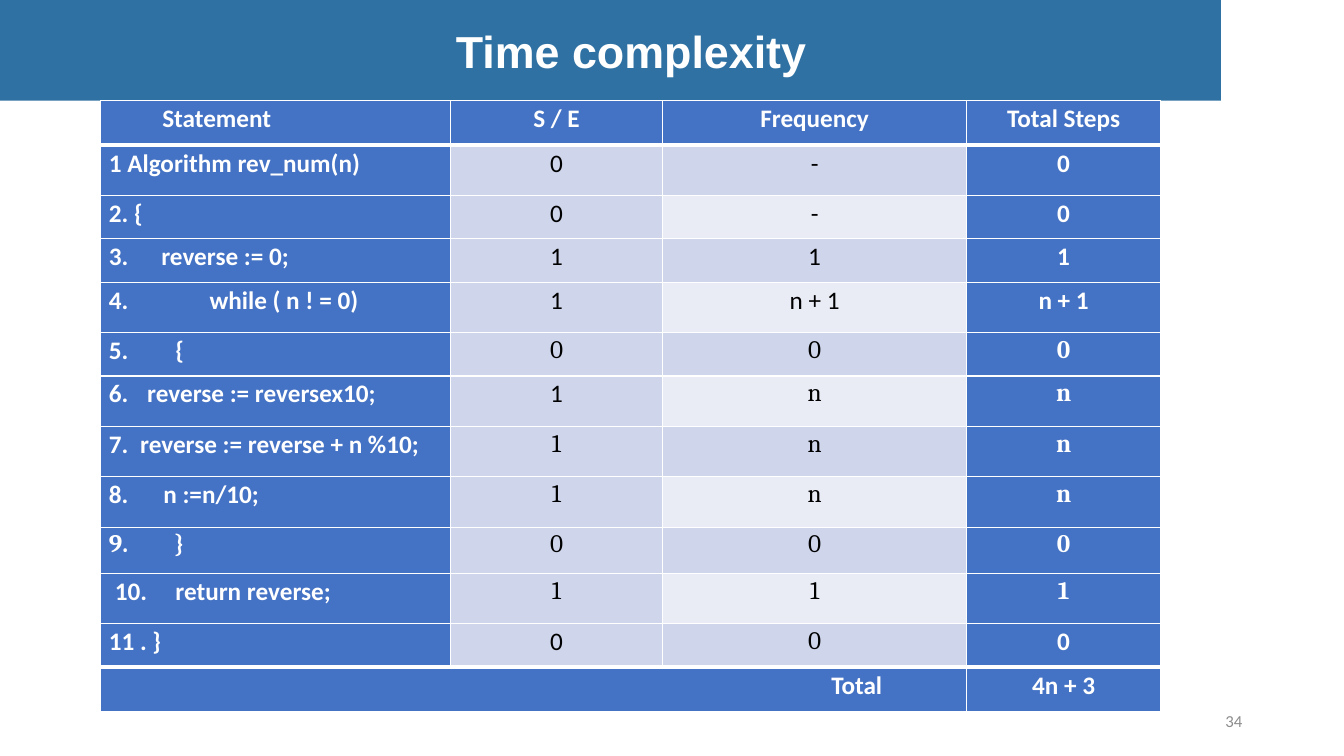
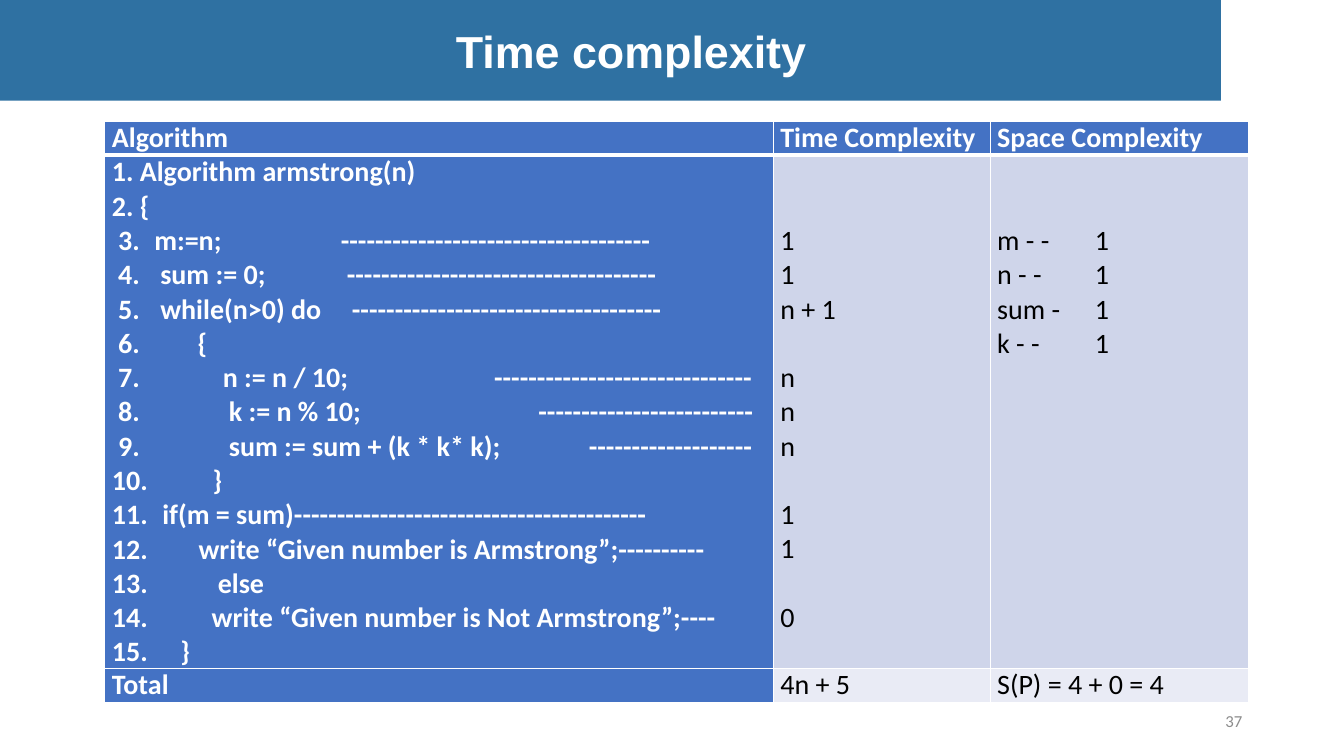
import pptx
import pptx.dml.color
import pptx.enum.shapes
import pptx.enum.text
import pptx.oxml
import pptx.oxml.ns
import pptx.util
from lxml import etree

Inches = pptx.util.Inches
Pt = pptx.util.Pt
ALIGN = pptx.enum.text.PP_ALIGN
MIDDLE = pptx.enum.text.MSO_ANCHOR.MIDDLE

BAND, BLUE, PALE, PALER = "2F71A2", "4472C4", "CFD5EA", "E9EBF5"
WHITE, BLACK, GREY = "FFFFFF", "000000", "8C8C8C"
LINE_20 = 24.4  # height in points of one 20 pt line


def color(hex_text):
    return pptx.dml.color.RGBColor.from_string(hex_text)


def make_cell(lines, fill, margins, font="Calibri", size=18, align=ALIGN.LEFT):
    """Lines are (text, tab stops in inches, points before)."""
    return {"lines": lines, "fill": fill, "margins": margins,
            "font": font, "size": size, "align": align}


# Step counts: statement, left margin, tab stop, three values, four fonts
step_rows = [
    ("1 Algorithm rev_num(n)", 0.08, None, "0", "-", "0", "AAAA"),
    ("2. {", 0.08, None, "0", "-", "0", "AAAA"),
    ("3.\treverse := 0;", 0.08, 0.52, "1", "1", "1", "AAAA"),
    ("4.\twhile ( n ! = 0)", 0.08, 1, "1", "n + 1", "n + 1", "AAAA"),
    ("5.\t{", 0.08, 0.66, "0", "0", "0", "ACCC"),
    ("6.\treverse := reversex10;", 0.08, 0.38, "1", "n", "n", "AACC"),
    ("7.\treverse := reverse + n %10;", 0.08, 0.31, "1", "n", "n", "ACCC"),
    ("8.\tn :=n/10;", 0.08, 0.54, "1", "n", "n", "ACCC"),
    ("9.\t}", 0.08, 0.65, "0", "0", "0", "CCCC"),
    ("10.\treturn reverse;", 0.14, 0.6, "1", "1", "1", "ACCC"),
    ("11 . }", 0.08, None, "0", "0", "0", "AACA"),
]
fonts = {"A": "Calibri", "C": "Cambria"}
TOP = 0.03
centred = (0, TOP, 0, 0)

step_cells = [[make_cell([("Statement", [], 0)], BLUE, (0.61, TOP, 0, 0))]]
for heading in ("S / E", "Frequency", "Total Steps"):
    step_cells[0].append(make_cell([(heading, [], 0)], BLUE, centred, align=ALIGN.CENTER))
for index, (statement, left, tab, *values, font_keys) in enumerate(step_rows):
    row = [make_cell([(statement, [tab] if tab else [], 0)], BLUE,
                     (left, TOP, 0, 0), fonts[font_keys[0]])]
    fills = (PALE, PALER if index % 2 else PALE, BLUE)
    for value, fill, key in zip(values, fills, font_keys[1:]):
        row.append(make_cell([(value, [], 0)], fill, centred, fonts[key], align=ALIGN.CENTER))
    step_cells.append(row)
step_cells.append([
    make_cell([("Total", [], 0)], BLUE, (0, TOP, 0.84, 0), align=ALIGN.RIGHT),
    make_cell([], BLUE, centred),
    make_cell([], BLUE, centred),
    make_cell([("4n + 3", [], 0)], BLUE, centred, align=ALIGN.CENTER),
])

# Armstrong algorithm: code lines with their tab stops
code_lines = [
    ("1. Algorithm armstrong(n)", []),
    ("2. {", []),
    (" 3.\tm:=n;\t" + "-" * 36, [0.42, 2.27]),
    (" 4.\tsum := 0;\t" + "-" * 36, [0.48, 2.33]),
    (" 5.\twhile(n>0) do\t" + "-" * 36, [0.48, 2.38]),
    (" 6.\t{", [0.85]),
    (" 7.\tn := n / 10;\t" + "-" * 30, [1.1, 3.79]),
    (" 8.\tk := n % 10;\t" + "-" * 25, [1.16, 4.23]),
    (" 9.\tsum := sum + (k * k* k);\t" + "-" * 19, [1.16, 4.73]),
    ("10.\t}", [1]),
    ("11.\tif(m = sum)" + "-" * 41, [0.5]),
    ("12.\twrite “Given number is Armstrong”;" + "-" * 10, [0.86]),
    ("13.\telse", [1.05]),
    ("14.\twrite “Given number is Not Armstrong”;" + "-" * 4, [0.99]),
    ("15.\t}", [0.68]),
]
code = [(text, tabs, 0) for text, tabs in code_lines]

# Each count stands beside its code line; skipped lines become space before
time_counts = {3: "1", 4: "1", 5: "n + 1", 7: "n", 8: "n", 9: "n", 11: "1", 12: "1", 14: "0"}
times = []
previous = 2
for line_number, count in time_counts.items():
    times.append((count, [], (line_number - previous - 1) * LINE_20))
    previous = line_number
spaces = [(name + "\t1", [0.97], 0) for name in ("m - -", "n - -", "sum -", "k - -")]

inset = (0.07, 0, 0.07, 0)
lowered = (0.07, 0.68, 0.07, 0)
armstrong_cells = [
    [make_cell([(heading, [], 0)], BLUE, inset, size=20)
     for heading in ("Algorithm", "Time Complexity", "Space Complexity")],
    [make_cell(code, BLUE, inset, size=20),
     make_cell(times, PALE, lowered, size=20),
     make_cell(spaces, PALE, lowered, size=20)],
    [make_cell([(total, [], 0)], fill, inset, size=20)
     for total, fill in (("Total", BLUE), ("4n + 5", PALER), ("S(P) = 4 + 0 = 4", PALER))],
]

# Page number, table place, column widths, row heights, cells, thick edges, merged cells
pages = [
    ("34", 1, 1, [3.47, 2.1, 3.02, 1.92],
     [0.44, 0.5, 0.43, 0.43, 0.5, 0.43, 0.5, 0.5, 0.5, 0.46, 0.5, 0.43, 0.44],
     step_cells, {1, 12}, [(12, 0, 12, 2)]),
    ("37", 1.04, 1.2, [6.63, 2.15, 2.56], [0.34, 5.09, 0.34], armstrong_cells, {1}, []),
]

presentation = pptx.Presentation()
presentation.slide_width = Inches(13.33)
presentation.slide_height = Inches(7.5)

for number, left, top, widths, heights, cells, thick_edges, merges in pages:
    slide = presentation.slides.add_slide(presentation.slide_layouts[6])

    # Page number
    number_box = slide.shapes.add_textbox(Inches(9.42), Inches(6.95), Inches(3), Inches(0.4))
    number_box.text_frame.word_wrap = True

    # Title band
    band = slide.shapes.add_shape(pptx.enum.shapes.MSO_SHAPE.RECTANGLE,
                                  0, 0, Inches(12.11), Inches(1))
    band.shadow.inherit = False
    band.fill.solid()
    band.fill.fore_color.rgb = color(BAND)
    band.line.fill.background()
    band.text_frame.margin_left = Inches(0.51)

    for shape, text, font, size, ink, bold, align in (
            (number_box, number, "Calibri", 12, GREY, False, ALIGN.RIGHT),
            (band, "Time complexity", "Arial", 32, WHITE, True, ALIGN.CENTER)):
        shape.text_frame.vertical_anchor = MIDDLE
        paragraph = shape.text_frame.paragraphs[0]
        paragraph.alignment = align
        run = paragraph.add_run()
        run.text = text
        run.font.name = font
        run.font.size = Pt(size)
        run.font.bold = bold
        run.font.color.rgb = color(ink)

    # Table grid
    table = slide.shapes.add_table(len(heights), len(widths), Inches(left), Inches(top),
                                   Inches(sum(widths)), Inches(sum(heights))).table
    table.horz_banding = False
    for column, width in zip(table.columns, widths):
        column.width = Inches(width)
    for table_row, height in zip(table.rows, heights):
        table_row.height = Inches(height)
    for first_row, first_column, last_row, last_column in merges:
        table.cell(first_row, first_column).merge(table.cell(last_row, last_column))

    # Cells
    for row_index, row in enumerate(cells):
        for column_index, content in enumerate(row):
            cell = table.cell(row_index, column_index)
            properties = cell._tc.get_or_add_tcPr()
            for side, edge in (("L", None), ("R", None), ("T", row_index), ("B", row_index + 1)):
                weight = 3 if edge in thick_edges else 1
                border = etree.SubElement(properties, pptx.oxml.ns.qn("a:ln" + side),
                                          w=str(Pt(weight)))
                solid = etree.SubElement(border, pptx.oxml.ns.qn("a:solidFill"))
                etree.SubElement(solid, pptx.oxml.ns.qn("a:srgbClr"), val=WHITE)
            cell.fill.solid()
            cell.fill.fore_color.rgb = color(content["fill"])
            (cell.margin_left, cell.margin_top, cell.margin_right,
             cell.margin_bottom) = [Inches(margin) for margin in content["margins"]]

            strong = content["fill"] == BLUE
            for line_index, (text, tabs, before) in enumerate(content["lines"]):
                frame = cell.text_frame
                paragraph = frame.add_paragraph() if line_index else frame.paragraphs[0]
                paragraph.alignment = content["align"]
                if tabs:
                    tab_list = etree.SubElement(paragraph._p.get_or_add_pPr(),
                                                pptx.oxml.ns.qn("a:tabLst"))
                    for tab in tabs:
                        etree.SubElement(tab_list, pptx.oxml.ns.qn("a:tab"),
                                         pos=str(Inches(tab)), algn="l")
                if before:
                    paragraph.space_before = Pt(before)
                run = paragraph.add_run()
                run.text = text
                run.font.name = content["font"]
                run.font.size = Pt(content["size"])
                run.font.bold = strong
                run.font.color.rgb = color(WHITE if strong else BLACK)

presentation.save("out.pptx")
